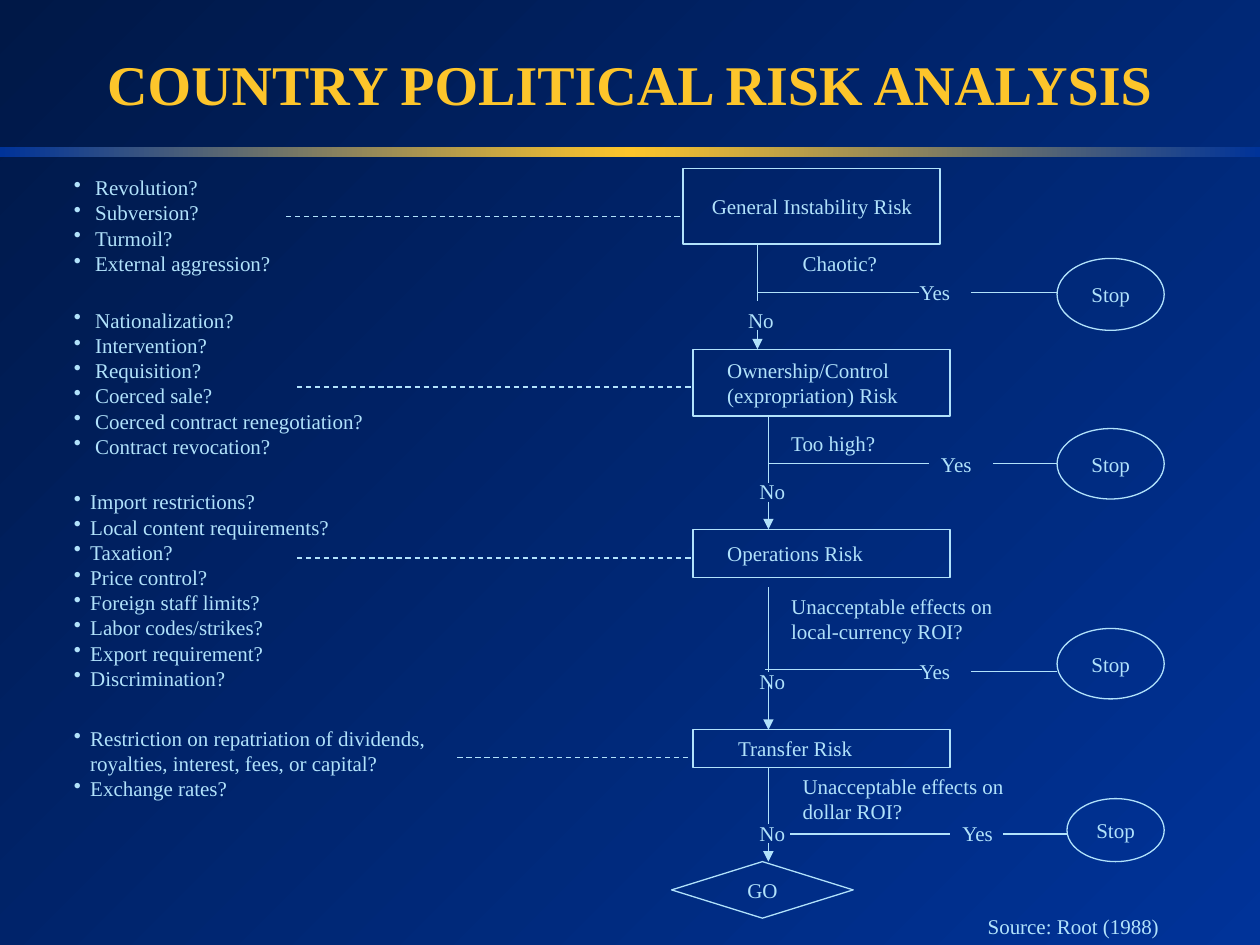
from copy import deepcopy

from lxml.etree import SubElement
from pptx import Presentation
from pptx.dml.color import RGBColor
from pptx.enum.dml import MSO_LINE
from pptx.enum.shapes import MSO_CONNECTOR, MSO_SHAPE
from pptx.enum.text import MSO_ANCHOR, PP_ALIGN
from pptx.oxml.ns import qn
from pptx.util import Cm, Pt

FONT = "Times New Roman"
PALE, GOLD, BLUE, NAVY = "B1E2FB", "FDC52B", "003399", "001847"
color = RGBColor.from_string

presentation = Presentation()
presentation.slide_width, presentation.slide_height = Cm(25.4), Cm(19.05)
slide = presentation.slides.add_slide(presentation.slide_layouts[5])
shapes = slide.shapes


def write(frame, lines, align=PP_ALIGN.LEFT, size=12, hue=PALE, bold=False, hang=None):
    """Fill a text frame, one paragraph a line; hang (cm) makes them bullets."""
    frame.word_wrap = True
    for index, line in enumerate(lines):
        paragraph = frame.add_paragraph() if index else frame.paragraphs[0]
        paragraph.alignment = align
        if hang:
            properties = paragraph._p.get_or_add_pPr()
            properties.set("marL", str(Cm(hang)))
            properties.set("indent", str(-Cm(hang)))
            SubElement(properties, qn("a:buChar"), char="•")
        run = paragraph.add_run()
        run.text = line
        run.font.name, run.font.size, run.font.bold = FONT, Pt(size), bold
        run.font.color.rgb = color(hue)


def add_line(x1, y1, x2, y2, dashed=False, arrow=False):
    line = shapes.add_connector(MSO_CONNECTOR.STRAIGHT, Cm(x1), Cm(y1), Cm(x2), Cm(y2))
    line.line.color.rgb = color(PALE)
    line.line.width = Pt(0.75)
    if dashed:
        line.line.dash_style = MSO_LINE.DASH
    if arrow:
        SubElement(line.line._get_or_add_ln(), qn("a:tailEnd"), type="triangle")
    SubElement(line._element.spPr, qn("a:effectLst"))


# Background, title and gold bar
background = slide.background.fill
background.gradient()
background.gradient_angle = 315
for stop, hue in zip(background.gradient_stops, (NAVY, BLUE)):
    stop.color.rgb = color(hue)

title = shapes.title
title.left, title.top, title.width, title.height = Cm(0), Cm(0.89), Cm(25.4), Cm(1.57)
title.text_frame.vertical_anchor = MSO_ANCHOR.MIDDLE
write(title.text_frame, ["COUNTRY POLITICAL RISK ANALYSIS"],
      PP_ALIGN.CENTER, 32, GOLD, True)

bar = shapes.add_shape(MSO_SHAPE.RECTANGLE, Cm(0), Cm(2.97), Cm(25.4), Cm(0.2))
bar.shadow.inherit = False
bar.line.fill.background()
bar.fill.gradient()
bar.fill.gradient_angle = 0
stop_list = bar._element.spPr.find(".//" + qn("a:gsLst"))
stop_list.append(deepcopy(stop_list[-1]))
for stop, position, hue in zip(bar.fill.gradient_stops, (0, 0.5, 1), (BLUE, GOLD, BLUE)):
    stop.position = position
    stop.color.rgb = color(hue)

# Warning signs: top, width, height, hanging indent, items
warning_signs = [
    (3.4, 5.82, 2.18, 0.43,
     ["Revolution?", "Subversion?", "Turmoil?", "External aggression?"]),
    (6.07, 7.77, 3.15, 0.43,
     ["Nationalization?", "Intervention?", "Requisition?", "Coerced sale?",
      "Coerced contract renegotiation?", "Contract revocation?"]),
    (9.73, 8.41, 4.11, 0.33,
     ["Import restrictions?", "Local content requirements?", "Taxation?",
      "Price control?", "Foreign staff limits?", "Labor codes/strikes?",
      "Export requirement?", "Discrimination?"]),
    (14.5, 9.07, 1.7, 0.33,
     ["Restriction on repatriation of dividends, royalties, interest, fees, or capital?",
      "Exchange rates?"]),
]
for top, width, height, hang, items in warning_signs:
    box = shapes.add_textbox(Cm(1.24), Cm(top), Cm(width), Cm(height))
    write(box.text_frame, items, hang=hang)

# Flowchart nodes: kind, left, top, width, height, text inset (None centres), text
BOX, OVAL = MSO_SHAPE.RECTANGLE, MSO_SHAPE.OVAL
nodes = [
    (BOX, 13.77, 3.4, 5.18, 1.52, 0.58, "General Instability Risk"),
    (BOX, 13.97, 7.04, 5.18, 1.35, 0.69, "Ownership/Control (expropriation) Risk"),
    (BOX, 13.97, 10.67, 5.18, 0.97, 0.69, "Operations Risk"),
    (BOX, 13.97, 14.71, 5.18, 0.76, 0.91, "Transfer Risk"),
    (MSO_SHAPE.DIAMOND, 13.54, 17.37, 3.66, 1.14, None, "GO"),
    (OVAL, 21.31, 5.21, 2.16, 1.45, None, "Stop"),
    (OVAL, 21.31, 8.64, 2.16, 1.42, None, "Stop"),
    (OVAL, 21.31, 12.67, 2.16, 1.42, None, "Stop"),
    (OVAL, 21.51, 16.1, 1.96, 1.27, None, "Stop"),
]
for kind, left, top, width, height, inset, text in nodes:
    node = shapes.add_shape(kind, Cm(left), Cm(top), Cm(width), Cm(height))
    node.shadow.inherit = False
    node.fill.background()
    node.line.color.rgb = color(PALE)
    node.line.width = Pt(0.75)
    frame = node.text_frame
    frame.margin_left = Cm(inset or 0)
    frame.margin_right = frame.margin_top = frame.margin_bottom = Cm(0)
    frame.vertical_anchor = MSO_ANCHOR.MIDDLE
    write(frame, [text], PP_ALIGN.LEFT if inset else PP_ALIGN.CENTER)

# Labels: left, top, width, height, text
labels = [
    (15.93, 4.93, 2.36, 0.74, "Chaotic?"),
    (15.7, 8.56, 3.02, 0.74, "Too high?"),
    (15.7, 11.84, 5.38, 1.22, "Unacceptable effects on local-currency ROI?"),
    (15.93, 15.47, 5.2, 1.22, "Unacceptable effects on dollar ROI?"),
    (19.66, 18.29, 4.24, 0.76, "Source: Root (1988)"),
]
yes_places = [(18.29, 5.51), (18.72, 8.97), (18.29, 13.16), (19.15, 16.41)]
no_places = [(14.83, 6.07), (15.06, 9.53), (15.06, 13.36), (15.06, 16.41)]
labels += [(left, top, 1.5, 0.74, "Yes") for left, top in yes_places]
labels += [(left, top, 1.5, 0.74, "No") for left, top in no_places]
for left, top, width, height, text in labels:
    label = shapes.add_textbox(Cm(left), Cm(top), Cm(width), Cm(height))
    write(label.text_frame, [text])

# Dashed links from warning signs to risks: start, end, height
for start, end, y in [(5.77, 13.77, 4.37), (5.99, 13.97, 7.8),
                      (5.99, 13.97, 11.25), (9.22, 13.97, 15.27)]:
    add_line(start, y, end, y, dashed=True)

# "No" branches: x, stem top, stem bottom, arrow top, arrow tip
for x, top, bottom, arrow_top, tip in [(15.27, 4.93, 6.07, 6.65, 7.04),
                                       (15.49, 8.38, 9.73, 10.11, 10.67),
                                       (15.49, 11.84, 13.54, 13.74, 14.71),
                                       (15.49, 15.47, 16.61, 16.99, 17.37)]:
    add_line(x, top, x, bottom)
    add_line(x, arrow_top, x, tip, arrow=True)

# "Yes" branches: start, end, height
for start, end, y in [(15.27, 18.52, 5.89), (19.58, 21.31, 5.89),
                      (15.49, 18.72, 9.35), (20.02, 21.31, 9.35),
                      (15.42, 18.59, 13.49), (19.58, 21.31, 13.54),
                      (15.93, 19.15, 16.81), (20.22, 21.51, 16.81)]:
    add_line(start, y, end, y)

presentation.save("out.pptx")
